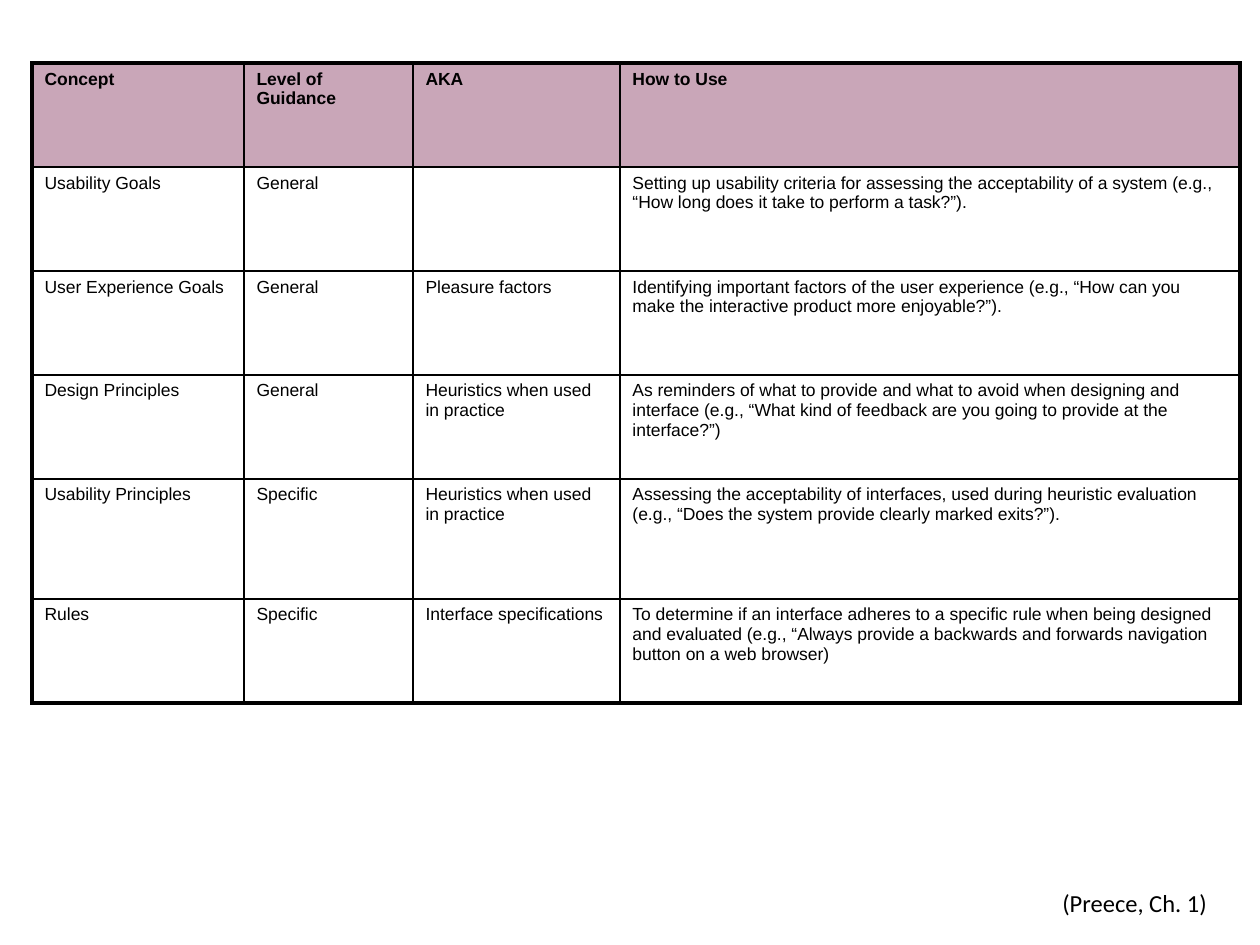
import lxml.etree
import pptx
import pptx.dml.color
import pptx.oxml.ns
import pptx.util

EMU_PER_PIXEL = 914400 // 126
BLACK = "000000"
HEADER_COLOR = "954F72"
COLUMN_WIDTHS = [212, 169, 207, 620]
ROW_HEIGHTS = [104, 104, 104, 104, 120, 104]
CONCEPT_ROWS = [
    ["Concept", "Level of Guidance", "AKA", "How to Use"],
    ["Usability Goals", "General", "",
     "Setting up usability criteria for assessing the acceptability of a system "
     "(e.g., “How long does it take to perform a task?”)."],
    ["User Experience Goals", "General", "Pleasure factors",
     "Identifying important factors of the user experience "
     "(e.g., “How can you make the interactive product more enjoyable?”)."],
    ["Design Principles", "General", "Heuristics when used in practice",
     "As reminders of what to provide and what to avoid when designing and interface "
     "(e.g., “What kind of feedback are you going to provide at the interface?”)"],
    ["Usability Principles", "Specific", "Heuristics when used in practice",
     "Assessing the acceptability of interfaces, used during heuristic evaluation "
     "(e.g., “Does the system provide clearly marked exits?”)."],
    ["Rules", "Specific", "Interface specifications",
     "To determine if an interface adheres to a specific rule when being designed and evaluated "
     "(e.g., “Always provide a backwards and forwards navigation button on a web browser)"],
]


def px(pixels):
    return pptx.util.Emu(pixels * EMU_PER_PIXEL)


def rgb(color):
    return pptx.dml.color.RGBColor.from_string(color)


def add_xml(parent, tag, **attributes):
    return lxml.etree.SubElement(parent, pptx.oxml.ns.qn(tag), attributes)


def format_text(text_frame, font_name, size, bold=False):
    for paragraph in text_frame.paragraphs:
        for run in paragraph.runs:
            run.font.name = font_name
            run.font.size = pptx.util.Pt(size)
            run.font.bold = bold
            run.font.color.rgb = rgb(BLACK)


def set_borders(cell, widths):
    properties = cell._tc.get_or_add_tcPr()
    for side, width in widths.items():
        line = add_xml(properties, f"a:ln{side}", w=str(pptx.util.Pt(width)))
        add_xml(add_xml(line, "a:solidFill"), "a:srgbClr", val=BLACK)


def set_fill(cell, color, alpha):
    cell.fill.solid()
    cell.fill.fore_color.rgb = rgb(color)
    color_element = cell._tc.tcPr.find(".//" + pptx.oxml.ns.qn("a:solidFill") + "[last()]")
    fill = cell._tc.tcPr.findall(pptx.oxml.ns.qn("a:solidFill"))[-1]
    add_xml(fill[0], "a:alpha", val=str(alpha * 1000))


def add_concept_table(slide, left, top):
    row_count, column_count = len(ROW_HEIGHTS), len(COLUMN_WIDTHS)
    table = slide.shapes.add_table(
        row_count, column_count, px(left), px(top),
        px(sum(COLUMN_WIDTHS)), px(sum(ROW_HEIGHTS))).table
    table.first_row = False
    table.horz_banding = False
    for column, width in zip(table.columns, COLUMN_WIDTHS):
        column.width = px(width)
    for row_index, texts in enumerate(CONCEPT_ROWS):
        table.rows[row_index].height = px(ROW_HEIGHTS[row_index])
        is_header = row_index == 0
        for column_index, text in enumerate(texts):
            cell = table.cell(row_index, column_index)
            cell.text_frame.text = text
            format_text(cell.text_frame, "Arial", 10, is_header)
            outer_sides = {
                "L": column_index == 0,
                "R": column_index == column_count - 1,
                "T": is_header,
                "B": row_index == row_count - 1,
            }
            set_borders(cell, {side: 2.25 if outer else 1 for side, outer in outer_sides.items()})
            if is_header:
                set_fill(cell, HEADER_COLOR, 50)
            else:
                cell.fill.background()


def add_label(slide, text, left, top, width, height):
    text_frame = slide.shapes.add_textbox(px(left), px(top), px(width), px(height)).text_frame
    text_frame.word_wrap = True
    text_frame.text = text
    format_text(text_frame, "Calibri", 14)


def main():
    presentation = pptx.Presentation()
    presentation.slide_width = pptx.util.Inches(10)
    presentation.slide_height = pptx.util.Inches(7.5)
    slide = presentation.slides.add_slide(presentation.slide_layouts[6])
    add_concept_table(slide, 32, 63)
    add_label(slide, "(Preece, Ch. 1)", 1050, 882, 191, 42)
    presentation.save("out.pptx")


main()
